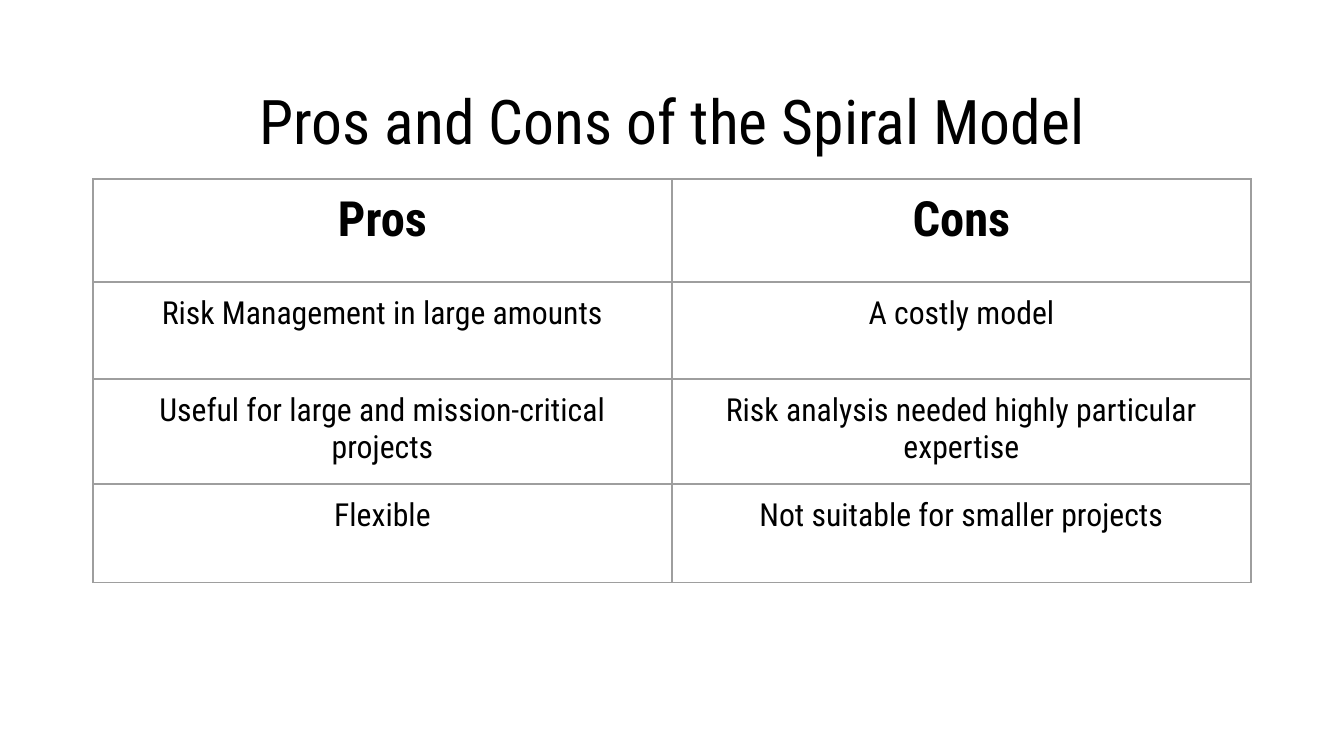
from lxml import etree
from pptx import Presentation
from pptx import util as u
from pptx.dml.color import RGBColor
from pptx.enum import text
from pptx.oxml import ns

PX = 914400 / 134.4
FONT = "Roboto Condensed"
BLACK = RGBColor(0x00, 0x00, 0x00)
WHITE = RGBColor(0xFF, 0xFF, 0xFF)
GREY = RGBColor(0x9E, 0x9E, 0x9E)
INSET = 13
BORDER = u.Pt(0.75)

ROW_HEIGHTS = [103, 97, 105, 99]
COLUMN_WIDTH = 579
# Each cell is a list of paragraphs
PROS_CONS = [
    (["Pros"], ["Cons"]),
    (["Risk Management in large amounts"], ["A costly model"]),
    (["Useful for large and mission-critical projects"],
     ["Risk analysis needed highly particular", "expertise"]),
    (["Flexible"], ["Not suitable for smaller projects"]),
]


def px(n):
    return u.Emu(round(n * PX))


def write(tf, lines, size, bold=False):
    """Fill a text frame with centred paragraphs."""
    tf.word_wrap = True
    for i, line in enumerate(lines):
        p = tf.add_paragraph() if i else tf.paragraphs[0]
        p.alignment = text.PP_ALIGN.CENTER
        r = p.add_run()
        r.text = line
        r.font.name = FONT
        r.font.size = u.Pt(size)
        r.font.bold = bold
        r.font.color.rgb = BLACK


def set_insets(box, top=INSET):
    box.margin_left = box.margin_right = box.margin_bottom = px(INSET)
    box.margin_top = px(top)


def add_title(s, title):
    sp = s.shapes.add_textbox(px(46), px(66), px(1253), px(85))
    tf = sp.text_frame
    tf.vertical_anchor = text.MSO_ANCHOR.TOP
    set_insets(tf, top=17)
    write(tf, [title], 33)


def set_borders(cell):
    tc_pr = cell._tc.get_or_add_tcPr()
    for i, side in enumerate(("a:lnL", "a:lnR", "a:lnT", "a:lnB")):
        ln = etree.Element(ns.qn(side), w=str(BORDER))
        fill = etree.SubElement(ln, ns.qn("a:solidFill"))
        etree.SubElement(fill, ns.qn("a:srgbClr"), val=str(GREY))
        tc_pr.insert(i, ln)  # borders come before the fill


def add_pros_cons(s):
    frame = s.shapes.add_table(len(PROS_CONS), 2, px(93), px(179),
                               px(2 * COLUMN_WIDTH), px(sum(ROW_HEIGHTS)))
    table = frame.table
    table.first_row = table.horz_banding = False
    for column in table.columns:
        column.width = px(COLUMN_WIDTH)
    for i, (height, row) in enumerate(zip(ROW_HEIGHTS, PROS_CONS)):
        table.rows[i].height = px(height)
        header = i == 0
        for j, lines in enumerate(row):
            cell = table.cell(i, j)
            set_insets(cell)
            cell.fill.solid()
            cell.fill.fore_color.rgb = WHITE
            set_borders(cell)
            write(cell.text_frame, lines, 26 if header else 17, header)


def main():
    prs = Presentation()
    prs.slide_width, prs.slide_height = px(1344), px(756)
    s = prs.slides.add_slide(prs.slide_layouts[6])

    # Heading above the two-column comparison
    add_title(s, "Pros and Cons of the Spiral Model")
    add_pros_cons(s)

    prs.save("out.pptx")


if __name__ == "__main__":
    main()
